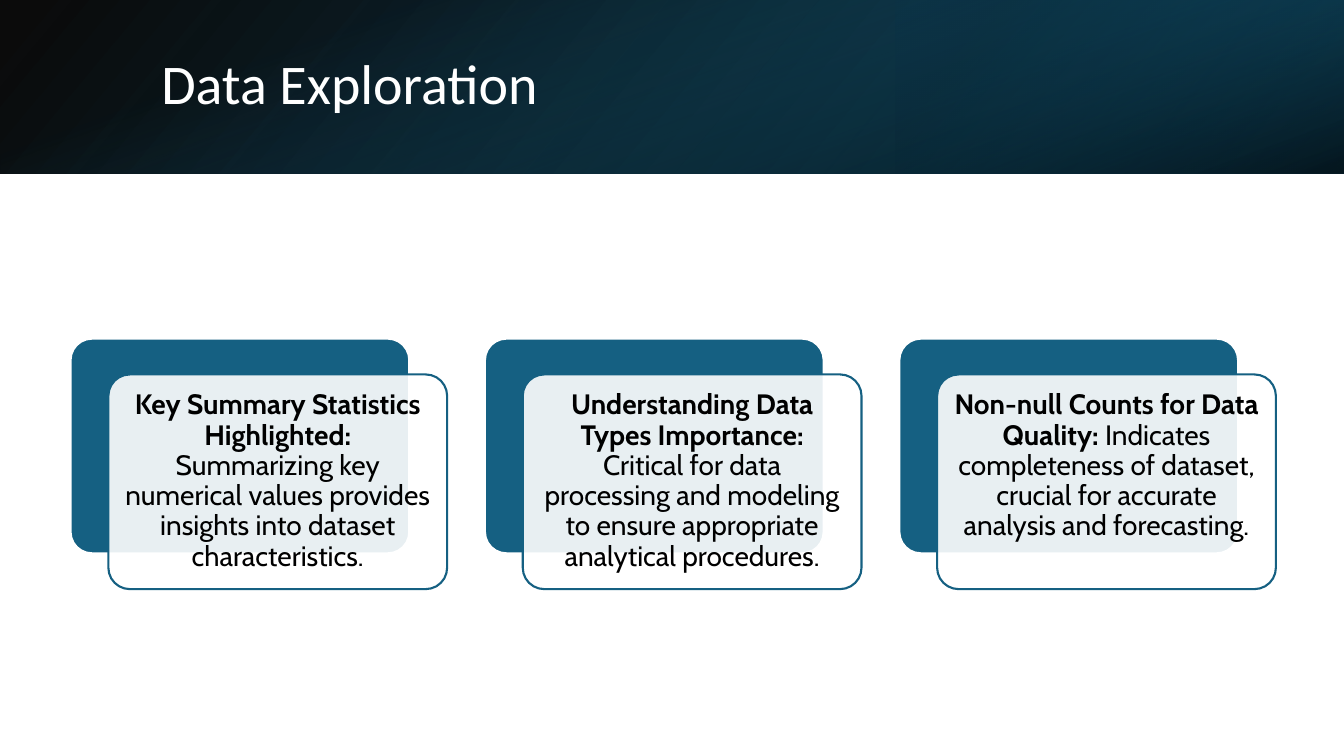
from lxml.etree import SubElement
from pptx import Presentation
from pptx.dml.color import RGBColor
from pptx.enum.shapes import MSO_SHAPE
from pptx.enum.text import MSO_ANCHOR, PP_ALIGN
from pptx.oxml.ns import qn
from pptx.util import Inches, Pt

BLACK = RGBColor(0x00, 0x00, 0x00)
WHITE = RGBColor(0xFF, 0xFF, 0xFF)
BLUE = RGBColor(0x15, 0x60, 0x82)
DARK_BLUE = RGBColor(0x10, 0x48, 0x62)
DEEP_BLUE = RGBColor(0x0B, 0x30, 0x41)

SLIDE_WIDTH, SLIDE_HEIGHT = 13.33, 7.5
BANNER_HEIGHT = 1.72
CARD_PITCH = 4.11

FINDINGS = [
    ("Key Summary Statistics Highlighted: ",
     "Summarizing key numerical values provides insights into dataset characteristics."),
    ("Understanding Data Types Importance: ",
     "Critical for data processing and modeling to ensure appropriate analytical procedures."),
    ("Non-null Counts for Data Quality: ",
     "Indicates completeness of dataset, crucial for accurate analysis and forecasting."),
]


def set_alpha(color_element, percent):
    SubElement(color_element, qn("a:alpha")).set("val", str(percent * 1000))


def add_gradient_band(slide, left, top, width, height, stops, angle, rotation=0, flipped=False):
    band = slide.shapes.add_shape(
        MSO_SHAPE.RECTANGLE, Inches(left), Inches(top), Inches(width), Inches(height))
    band.shadow.inherit = False
    band.line.fill.background()
    band.rotation = rotation
    properties = band._element.spPr
    if flipped:
        properties.find(qn("a:xfrm")).set("flipH", "1")
    gradient = SubElement(properties, qn("a:gradFill"))
    stop_list = SubElement(gradient, qn("a:gsLst"))
    for position, color, opacity in stops:
        stop = SubElement(stop_list, qn("a:gs"))
        stop.set("pos", str(position * 1000))
        color_element = SubElement(stop, qn("a:srgbClr"))
        color_element.set("val", str(color))
        set_alpha(color_element, opacity)
    direction = SubElement(gradient, qn("a:lin"))
    direction.set("ang", str(angle * 60000))
    direction.set("scaled", "0")
    properties.find(qn("a:prstGeom")).addnext(gradient)


def add_banner(slide, left, top, width, height):
    add_gradient_band(slide, left, top, width, height,
                      [(0, BLACK, 96), (100, DARK_BLUE, 100)], 140, flipped=True)
    add_gradient_band(slide, left + width * 2 / 3, top, width / 3, height,
                      [(19, DEEP_BLUE, 68), (100, BLUE, 79)], 320, rotation=180, flipped=True)
    overhang = (width - height) / 2
    add_gradient_band(slide, left + overhang, top - overhang, height, width,
                      [(23, BLUE, 0), (99, BLACK, 74)], 340, rotation=90)

    title = slide.shapes.title
    slide.shapes._spTree.append(title._element)
    title.left, title.top = Inches(left + 1.5), Inches(top + 0.38)
    title.width, title.height = Inches(10.98), Inches(0.96)
    frame = title.text_frame
    frame.text = "Data Exploration"
    frame.vertical_anchor = MSO_ANCHOR.MIDDLE
    heading = frame.paragraphs[0]
    heading.alignment = PP_ALIGN.LEFT
    heading.line_spacing = 0.9
    heading.font.name = "Calibri"
    heading.font.size = Pt(40)
    heading.font.color.rgb = WHITE


def add_panel(group, left, top, width, height, fill_color, line_color):
    panel = group.shapes.add_shape(
        MSO_SHAPE.ROUNDED_RECTANGLE, Inches(left), Inches(top), Inches(width), Inches(height))
    panel.adjustments[0] = 0.1
    panel.shadow.inherit = False
    panel.fill.solid()
    panel.fill.fore_color.rgb = fill_color
    panel.line.color.rgb = line_color
    panel.line.width = Pt(1.5)
    return panel


def add_card(group, left, top, width, height, lead, detail):
    add_panel(group, left, top, width, height, BLUE, WHITE)
    front_left, front_top = left + 0.375, top + 0.355
    front = add_panel(group, front_left, front_top, width, height, WHITE, BLUE)
    set_alpha(front._element.spPr.find(qn("a:solidFill"))[0], 90)

    margin = 0.06
    finding = group.shapes.add_textbox(
        Inches(front_left + margin), Inches(front_top + margin),
        Inches(width - 2 * margin), Inches(height - 2 * margin))
    frame = finding.text_frame
    frame.word_wrap = True
    frame.vertical_anchor = MSO_ANCHOR.TOP
    frame.margin_left = frame.margin_right = frame.margin_top = Inches(0.1)
    frame.margin_bottom = Inches(0.08)
    paragraph = frame.paragraphs[0]
    paragraph.alignment = PP_ALIGN.CENTER
    paragraph.line_spacing = 0.9
    paragraph.space_after = Pt(7)
    paragraph.font.name = "Cabin"
    paragraph.font.size = Pt(20)
    paragraph.font.color.rgb = BLACK
    for text, bold in ((lead, True), (detail, False)):
        run = paragraph.add_run()
        run.text = text
        run.font.bold = bold


def add_cards(slide, left, top, width, height):
    group = slide.shapes.add_group_shape()
    for index, (lead, detail) in enumerate(FINDINGS):
        add_card(group, left + index * CARD_PITCH, top, width, height, lead, detail)


def main():
    presentation = Presentation()
    presentation.slide_width = Inches(SLIDE_WIDTH)
    presentation.slide_height = Inches(SLIDE_HEIGHT)
    slide = presentation.slides.add_slide(presentation.slide_layouts.get_by_name("Title Only"))
    add_banner(slide, 0, 0, SLIDE_WIDTH, BANNER_HEIGHT)
    add_cards(slide, 0.7, 3.36, 3.36, 2.13)
    presentation.save("out.pptx")


if __name__ == "__main__":
    main()
